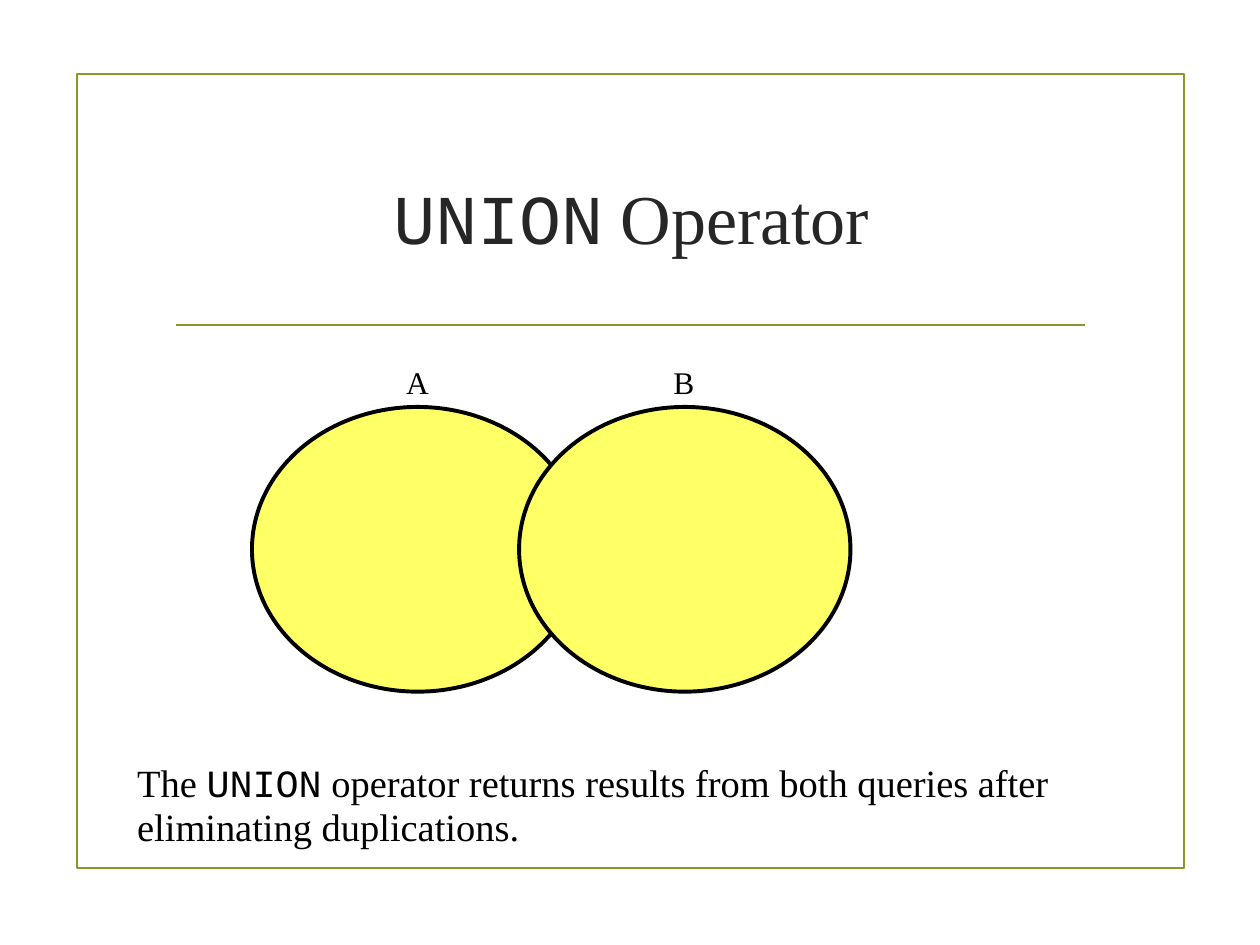
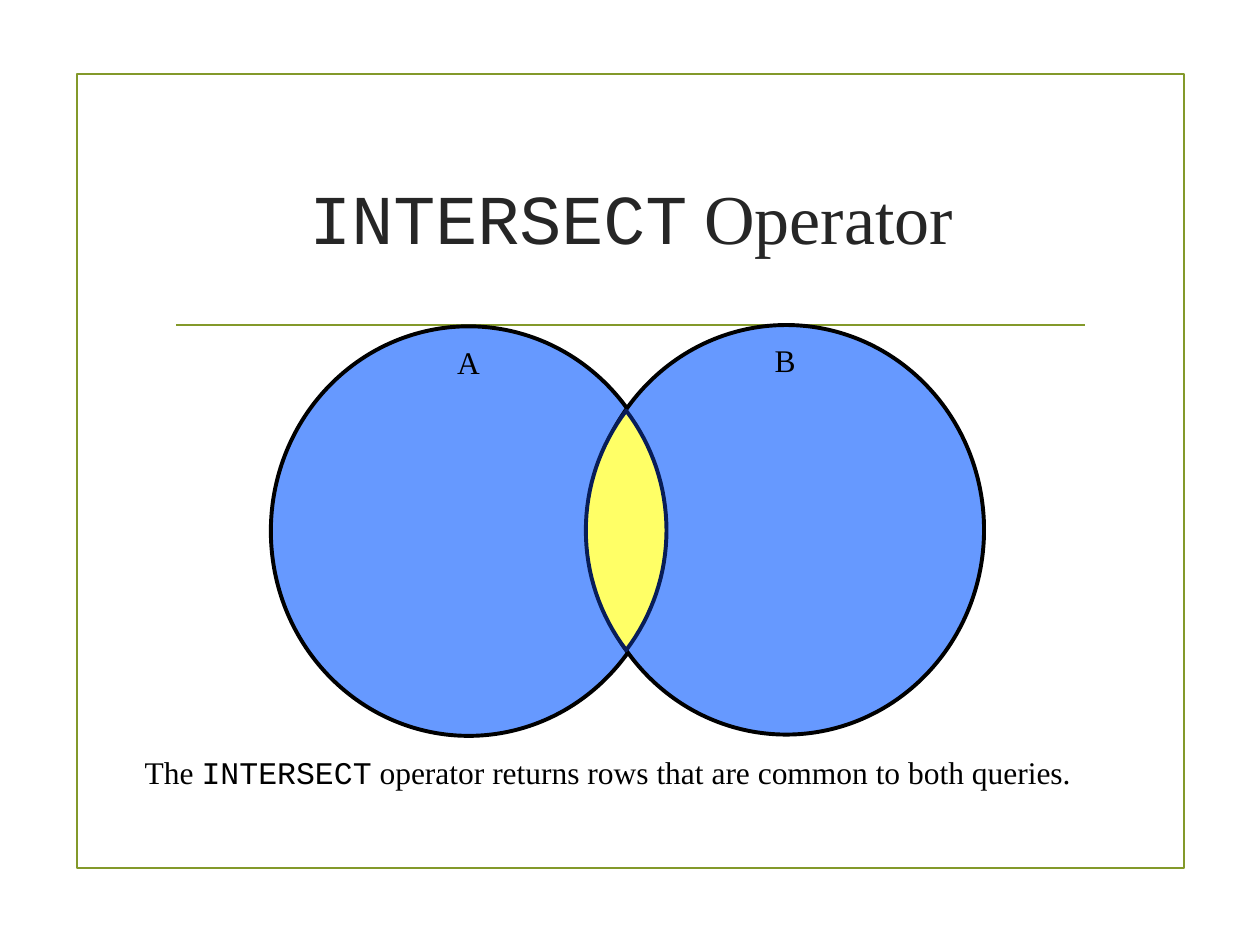
from math import asin, cos, sin

from lxml import etree
from pptx import Presentation
from pptx.dml.color import RGBColor
from pptx.enum.shapes import MSO_CONNECTOR, MSO_SHAPE
from pptx.enum.text import MSO_ANCHOR, MSO_AUTO_SIZE, PP_ALIGN
from pptx.oxml.ns import qn
from pptx.util import Inches, Pt

RECTANGLE, OVAL = MSO_SHAPE.RECTANGLE, MSO_SHAPE.OVAL
STRAIGHT = MSO_CONNECTOR.STRAIGHT
MIDDLE = MSO_ANCHOR.MIDDLE
LEFT, CENTER = PP_ALIGN.LEFT, PP_ALIGN.CENTER
FIT_SHAPE = MSO_AUTO_SIZE.SHAPE_TO_FIT_TEXT

OLIVE = RGBColor(0x83, 0x99, 0x2A)
CHARCOAL = RGBColor(0x26, 0x26, 0x26)
BLACK = RGBColor(0x00, 0x00, 0x00)
YELLOW = RGBColor(0xFF, 0xFF, 0x66)
BLUE = RGBColor(0x66, 0x99, 0xFF)
NAVY = RGBColor(0x08, 0x1D, 0x58)
BODY_FONT, CODE_FONT = "Times New Roman", "Courier New"


def style_shape(shape, fill, line, width):
    """Set fill and outline and drop the shadow."""
    shape.shadow.inherit = False
    if fill is None:
        shape.fill.background()
    else:
        shape.fill.solid()
        shape.fill.fore_color.rgb = fill
    shape.line.color.rgb = line
    shape.line.width = Pt(width)


def add_text(page, place, spans, size, color=BLACK, align=LEFT):
    """Add a one-paragraph text box from (text, font) spans."""
    box = page.shapes.add_textbox(*map(Inches, place))
    box.text_frame.word_wrap = True
    para = box.text_frame.paragraphs[0]
    para.alignment = align
    para.font.size = Pt(size)
    para.font.color.rgb = color
    for text, font in spans:
        span = para.add_run()
        span.text = text
        span.font.name = font
    return box


def add_base(deck, operator):
    """Add a page with the frame, the rule and the operator title."""
    page = deck.slides.add_slide(deck.slide_layouts[6])
    frame = page.shapes.add_shape(RECTANGLE, *map(Inches, (0.61, 0.59, 8.79, 6.3)))
    style_shape(frame, None, OLIVE, 1.25)
    rule = page.shapes.add_connector(STRAIGHT, *map(Inches, (1.4, 2.58, 8.61, 2.58)))
    rule.line.color.rgb = OLIVE
    rule.line.width = Pt(1.25)
    etree.SubElement(rule._element.spPr, qn("a:effectLst"))
    title = add_text(page, (1.29, 1, 7.44, 1.43),
                     [(operator, CODE_FONT), (" Operator", BODY_FONT)],
                     40, CHARCOAL, CENTER)
    title.text_frame.vertical_anchor = MIDDLE
    return page


def add_set(page, name, place, fill, label_offset):
    """Add a set's ellipse with its name centred near the top."""
    left, top, width, height = place
    ellipse = page.shapes.add_shape(OVAL, *map(Inches, place))
    style_shape(ellipse, fill, BLACK, 2.25)
    label_width = 0.38
    label_left = left + (width - label_width) / 2
    label = add_text(page, (label_left, top + label_offset, label_width, 0.4),
                     [(name, BODY_FONT)], 18)
    label.text_frame.word_wrap = False
    label.text_frame.auto_size = FIT_SHAPE


def add_lens(page, place, steps=32):
    """Add the overlap bounded by two equal circular arcs."""
    left, top, width, height = place
    half_width, half_height = width / 2, height / 2
    radius = (half_width ** 2 + half_height ** 2) / width
    limit = asin(half_height / radius)
    angles = [limit * (2 * step / steps - 1) for step in range(steps + 1)]
    center_x, center_y = left + half_width, top + half_height
    reach = radius - half_width
    right_arc = [(center_x - reach + radius * cos(angle),
                  center_y + radius * sin(angle)) for angle in angles]
    left_arc = [(2 * center_x - x, 2 * center_y - y) for x, y in right_arc]
    points = [(Inches(x), Inches(y)) for x, y in right_arc + left_arc[1:]]
    builder = page.shapes.build_freeform(*points[0])
    builder.add_line_segments(points[1:], close=True)
    style_shape(builder.convert_to_shape(), YELLOW, NAVY, 2.25)


def add_caption(page, place, operator, ending, size):
    """Add the sentence that explains the operator."""
    box = add_text(page, place, [("The ", BODY_FONT), (operator, CODE_FONT),
                                 (ending, BODY_FONT)], size)
    box.text_frame.auto_size = FIT_SHAPE
    box.text_frame.paragraphs[0].line_spacing = 0.95


def add_union_page(deck):
    """Build the page on UNION."""
    page = add_base(deck, "UNION")
    for name, left in (("A", 2), ("B", 4.12)):
        add_set(page, name, (left, 3.23, 2.63, 2.26), YELLOW, -0.4)
    add_caption(page, (0.99, 6, 7.95, 0.8), "UNION",
                " operator returns results from both queries after"
                " eliminating duplications.", 22)


def add_intersect_page(deck):
    """Build the page on INTERSECT."""
    page = add_base(deck, "INTERSECT")
    for name, left, top in (("A", 2.15, 2.59), ("B", 4.67, 2.58)):
        add_set(page, name, (left, top, 3.14, 3.25), BLUE, 0.08)
    add_lens(page, (4.65, 3.26, 0.64, 1.9))
    add_caption(page, (1.05, 5.95, 7.92, 0.39), "INTERSECT",
                " operator returns rows that are common to both queries.", 18)


def main():
    """Build and save the deck."""
    deck = Presentation()
    deck.slide_width, deck.slide_height = Inches(10), Inches(7.5)
    add_union_page(deck)
    add_intersect_page(deck)
    deck.save("out.pptx")


if __name__ == "__main__":
    main()
